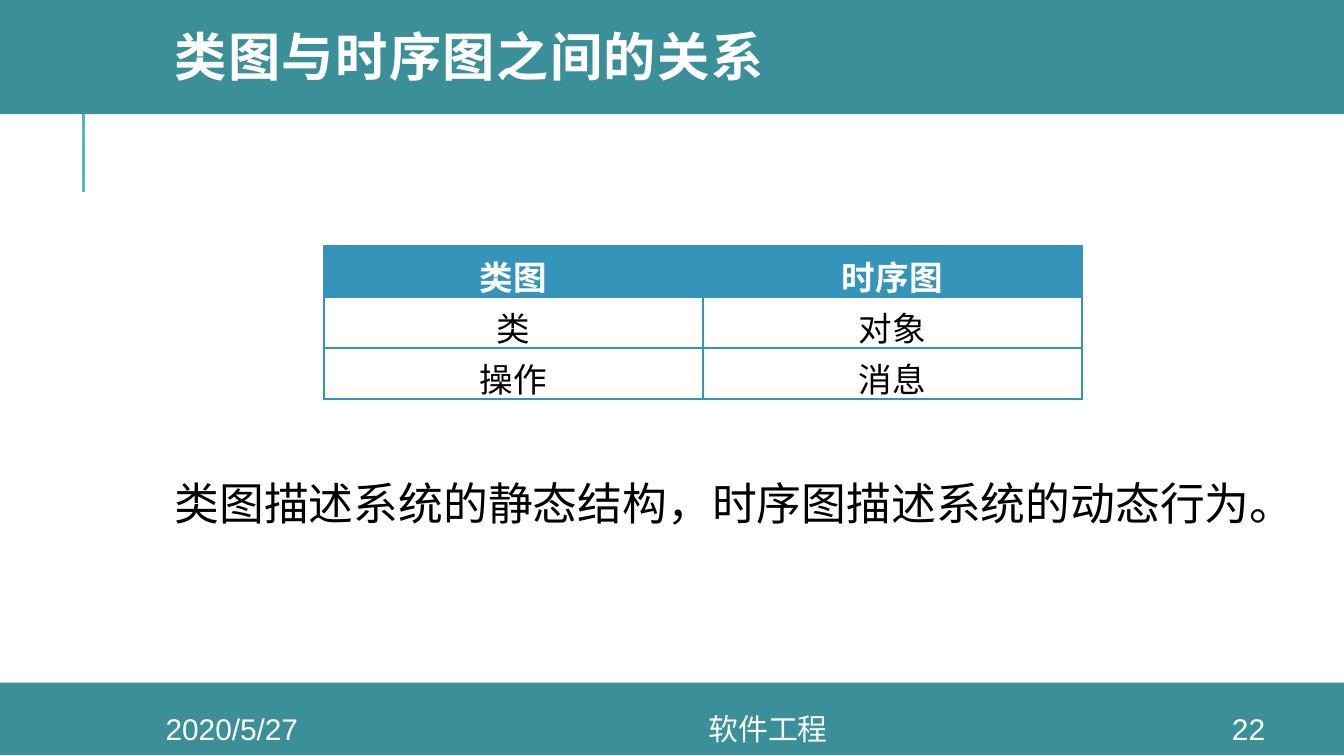
from lxml import etree
from pptx import Presentation
from pptx.dml.color import RGBColor
from pptx.enum.shapes import MSO_CONNECTOR, MSO_SHAPE
from pptx.enum.text import MSO_ANCHOR, MSO_AUTO_SIZE, PP_ALIGN
from pptx.oxml import parse_xml
from pptx.oxml.ns import nsdecls, qn
from pptx.util import Inches, Pt

RECTANGLE = MSO_SHAPE.RECTANGLE
STRAIGHT = MSO_CONNECTOR.STRAIGHT
MIDDLE, TOP = MSO_ANCHOR.MIDDLE, MSO_ANCHOR.TOP
LEFT, CENTER = PP_ALIGN.LEFT, PP_ALIGN.CENTER

# Content
TITLE = "类图与时序图之间的关系"
TABLE_ROWS = [("类图", "时序图"), ("类", "对象"), ("操作", "消息")]
SUMMARY = "类图描述系统的静态结构，时序图描述系统的动态行为。"
FOOTERS = [("2020/5/27", 0.84, 1.77), ("软件工程", 2.61, 6.21), ("22", 8.89, 0.8)]

# Colours and sizes
TEAL, ACCENT, BLUE = "3A8F98", "58B6C0", "3494BA"
WHITE, BLACK = "FFFFFF", "000000"
PAGE_WIDTH = 10
PAGE_HEIGHT = PAGE_WIDTH * 9 / 16
BANDS = [(5.08, 0.54), (-0.03, 0.88)]
COLUMN_WIDTH, ROW_HEIGHT = 2.82, 0.38


def rgb(value):
    return RGBColor.from_string(value)


def write(frame, text, size=16, font="Arial", color=WHITE, bold=False,
          align=CENTER, anchor=MIDDLE, percent_before=None):
    frame.word_wrap = True
    frame.vertical_anchor = anchor
    para = frame.paragraphs[0]
    para.alignment = align
    if percent_before:
        para._p.get_or_add_pPr().insert(0, parse_xml(
            f'<a:spcBef {nsdecls("a")}><a:spcPct val="{percent_before * 1000}"/></a:spcBef>'))
    span = para.add_run()
    span.text = text
    span.font.size = Pt(size)
    span.font.name = font
    span.font.bold = bold
    span.font.color.rgb = rgb(color)
    return para


def place(shape, left, top, width, height):
    shape.left, shape.top = Inches(left), Inches(top)
    shape.width, shape.height = Inches(width), Inches(height)


def add_borders(cell, color, points):
    properties = cell._tc.get_or_add_tcPr()
    for index, side in enumerate(("lnL", "lnR", "lnT", "lnB")):
        properties.insert(index, parse_xml(
            f'<a:{side} {nsdecls("a")} w="{Pt(points)}"><a:solidFill>'
            f'<a:srgbClr val="{color}"/></a:solidFill></a:{side}>'))


deck = Presentation()
deck.slide_width, deck.slide_height = Inches(PAGE_WIDTH), Inches(PAGE_HEIGHT)
page = deck.slides.add_slide(deck.slide_layouts[5])
shapes = page.shapes

# Accent line and bands
accent = shapes.add_connector(STRAIGHT, Inches(0.62), Inches(1.43),
                              Inches(0.62), Inches(0.68))
accent.line.color.rgb = rgb(ACCENT)
accent.line.width = Pt(1.5)
etree.SubElement(accent._element.spPr, qn("a:effectLst"))

for top, height in BANDS:
    band = shapes.add_shape(RECTANGLE, 0, Inches(top), deck.slide_width, Inches(height))
    band.shadow.inherit = False
    band.fill.solid()
    band.fill.fore_color.rgb = rgb(TEAL)
    band.line.fill.background()

# Title, moved in front of the bands
title = shapes.title
shapes._spTree.append(title._element)
place(title, 1.2, 0, 8.49, 0.91)
title.text_frame.auto_size = MSO_AUTO_SIZE.NONE
heading = write(title.text_frame, TITLE, size=28, font="Montserrat", bold=True, align=LEFT)
heading.line_spacing = 0.8
heading.runs[0].font._element.set("spc", "80")

# Footer
for text, left, width in FOOTERS:
    box = shapes.add_textbox(Inches(left), Inches(5.31), Inches(width), Inches(0.23))
    write(box.text_frame, text)

# Comparison table
row_count, column_count = len(TABLE_ROWS), len(TABLE_ROWS[0])
table = shapes.add_table(row_count, column_count, Inches(2.41), Inches(1.83),
                         Inches(COLUMN_WIDTH * column_count),
                         Inches(ROW_HEIGHT * row_count)).table
table.horz_banding = False
for row, texts in enumerate(TABLE_ROWS):
    header = row == 0
    for column, text in enumerate(texts):
        cell = table.cell(row, column)
        cell.margin_left = cell.margin_right = Inches(0.08)
        cell.margin_top = cell.margin_bottom = Inches(0.04)
        write(cell.text_frame, text, size=18, bold=header,
              color=WHITE if header else BLACK, anchor=TOP, percent_before=20)
        if header:
            cell.fill.solid()
            cell.fill.fore_color.rgb = rgb(BLUE)
        else:
            cell.fill.background()
        add_borders(cell, BLUE, 1)

# Summary sentence
summary = shapes.add_textbox(Inches(1.2), Inches(3.49), Inches(8.49), Inches(0.5))
write(summary.text_frame, SUMMARY, size=24, color=BLACK, align=LEFT, anchor=TOP,
      percent_before=50)
summary.text_frame.auto_size = MSO_AUTO_SIZE.SHAPE_TO_FIT_TEXT

deck.save("out.pptx")
